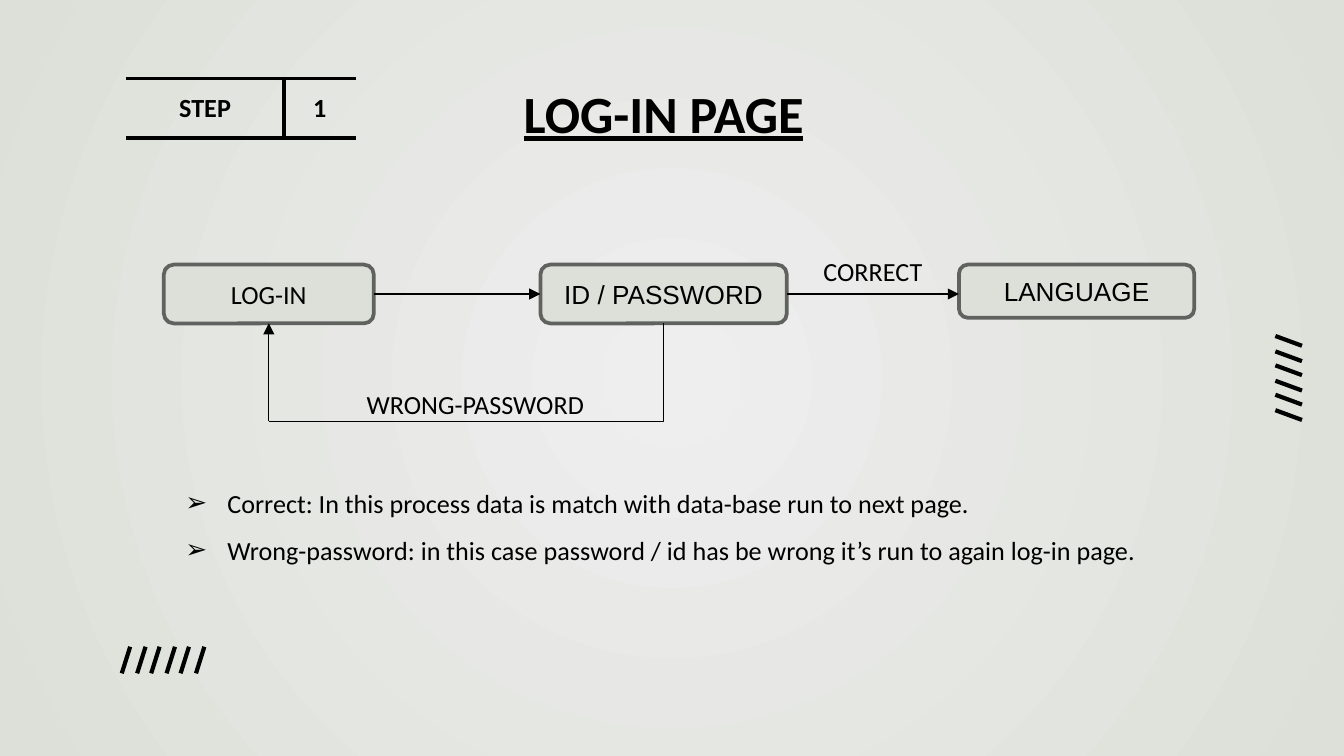
from lxml import etree
from pptx import Presentation
from pptx.dml.color import RGBColor
from pptx.enum.shapes import MSO_CONNECTOR, MSO_SHAPE
from pptx.enum.text import MSO_ANCHOR, MSO_AUTO_SIZE, PP_ALIGN
from pptx.oxml import parse_xml
from pptx.oxml.ns import qn
from pptx.util import Pt

PX = 9525
STRAIGHT, ELBOW = MSO_CONNECTOR.STRAIGHT, MSO_CONNECTOR.ELBOW
CENTER, JUSTIFY = PP_ALIGN.CENTER, PP_ALIGN.JUSTIFY
BLACK = RGBColor(0x00, 0x00, 0x00)
SAGE = RGBColor(0xDC, 0xE0, 0xD8)
PALE = RGBColor(0xEE, 0xEE, 0xEE)
GREY = RGBColor(0x60, 0x62, 0x5F)
A_NS = 'xmlns:a="http://schemas.openxmlformats.org/drawingml/2006/main"'


def add_line(shapes, ends, width, arrow=False, kind=STRAIGHT):
    line = shapes.add_connector(kind, *[value * PX for value in ends])
    line.line.color.rgb = BLACK
    line.line.width = Pt(width)
    if arrow:
        etree.SubElement(line.line._get_or_add_ln(), qn("a:tailEnd"), type="triangle")
    etree.SubElement(line._element.spPr, qn("a:effectLst"))
    return line


def write(frame, lines, size=14, font="Calibri", align=CENTER):
    """Fill a text frame with black, evenly formatted paragraphs."""
    frame.word_wrap = True
    frame.text = "\n".join(lines)
    for para in frame.paragraphs:
        para.alignment = align
        para.font.size = Pt(size)
        para.font.name = font
        para.font.color.rgb = BLACK


deck = Presentation()
deck.slide_width, deck.slide_height = 960 * PX, 540 * PX
page = deck.slides.add_slide(deck.slide_layouts[5])

# Radial background
backdrop = page.background.fill
backdrop.gradient()
for stop, color in zip(backdrop.gradient_stops, (PALE, SAGE)):
    stop.color.rgb = color
linear = page._element.find(".//" + qn("a:lin"))
linear.getparent().replace(linear, parse_xml(
    f'<a:path {A_NS} path="circle">'
    '<a:fillToRect l="50000" t="50000" r="50000" b="50000"/></a:path>'))

# Title
title = page.shapes.title
title.left, title.top, title.width, title.height = 326 * PX, 53 * PX, 296 * PX, 55 * PX
write(title.text_frame, ["LOG-IN PAGE"], size=28)
title.text_frame.vertical_anchor = MSO_ANCHOR.TOP
title.text_frame.auto_size = MSO_AUTO_SIZE.SHAPE_TO_FIT_TEXT
title_font = title.text_frame.paragraphs[0].font
title_font.bold = title_font.underline = True

# Two groups of six slashes, at the right edge and at the bottom left
side_slashes = page.shapes.add_group_shape()
bottom_slashes = page.shapes.add_group_shape()
for index in range(6):
    shift = round(index * 53 / 5)
    add_line(side_slashes.shapes, (930, 247 + shift, 911, 240 + shift), 2.25)
    add_line(bottom_slashes.shapes, (93 + shift, 462, 87 + shift, 481), 2.25)

# Step table
table = page.shapes.add_table(1, 2, 90 * PX, 56 * PX, 164 * PX, 41 * PX).table
table.first_row = table.horz_banding = False
for column, (text, width, open_side) in enumerate([("STEP", 113, "L"), ("1", 51, "R")]):
    table.columns[column].width = width * PX
    cell = table.cell(0, column)
    write(cell.text_frame, [text])
    cell.text_frame.paragraphs[0].font.bold = True
    cell.margin_left = cell.margin_right = cell.margin_top = cell.margin_bottom = 10 * PX
    for side in "LRTB":
        paint = ("<a:noFill/>" if side == open_side else
                 f'<a:solidFill><a:srgbClr val="{BLACK}"/></a:solidFill>')
        cell._tc.get_or_add_tcPr().append(parse_xml(
            f'<a:ln{side} {A_NS} w="{Pt(2.25)}">{paint}</a:ln{side}>'))
    cell.fill.background()

# Flow boxes
flow = []
for text, left, width, height, font in [
    ("LOG-IN", 117, 150, 42, "Calibri"),
    ("ID / PASSWORD", 386, 176, 42, "Arial"),
    ("LANGUAGE", 685, 168, 38, "Arial"),
]:
    box = page.shapes.add_shape(MSO_SHAPE.ROUNDED_RECTANGLE,
                                left * PX, 189 * PX, width * PX, height * PX)
    box.shadow.inherit = False
    box.fill.solid()
    box.fill.fore_color.rgb = SAGE
    box.line.color.rgb = GREY
    box.line.width = Pt(2)
    write(box.text_frame, [text], font=font)
    box.text_frame.vertical_anchor = MSO_ANCHOR.MIDDLE
    flow.append(box)
login, password, language = flow

# Forward arrows
to_password = add_line(page.shapes, (267, 210, 386, 210), 0.75, arrow=True)
to_password.begin_connect(login, 3)
to_password.end_connect(password, 1)
to_language = add_line(page.shapes, (562, 210, 685, 210), 0.75, arrow=True)
to_language.begin_connect(password, 3)

# Return path: a single bend turned a quarter, then an arrow up
bend = add_line(page.shapes, (298, 125, 368, 407), 0.75, kind=ELBOW)
bend._element.spPr.find(qn("a:prstGeom")).set("prst", "bentConnector2")
bend._element.spPr.find(qn("a:xfrm")).set("rot", str(90 * 60000))
back_up = add_line(page.shapes, (192, 301, 192, 231), 0.75, arrow=True)
back_up.end_connect(login, 2)

# Labels and notes
for lines, left, top, width, height, align in [
    (["WRONG-PASSWORD"], 245, 273, 189, 33, CENTER),
    (["CORRECT"], 565, 178, 117, 33, CENTER),
    (["Correct: In this process data is match with data-base run to next page.",
      "Wrong-password: in this case password / id has be wrong it’s run to again log-in page."],
     123, 332, 754, 74, JUSTIFY),
]:
    label = page.shapes.add_textbox(left * PX, top * PX, width * PX, height * PX)
    write(label.text_frame, lines, align=align)
    label.text_frame.auto_size = MSO_AUTO_SIZE.SHAPE_TO_FIT_TEXT

notes = label
for para in notes.text_frame.paragraphs:
    para.line_spacing = 1.5
    properties = para._p.get_or_add_pPr()
    properties.set("marL", str(30 * PX))
    properties.set("indent", str(-30 * PX))
    spacing = properties.find(qn("a:lnSpc"))
    for bullet in (
        f'<a:buChar {A_NS} char="➢"/>',
        f'<a:buFont {A_NS} typeface="Arial"/>',
        f'<a:buClr {A_NS}><a:srgbClr val="{BLACK}"/></a:buClr>',
    ):
        spacing.addnext(parse_xml(bullet))

deck.save("out.pptx")
